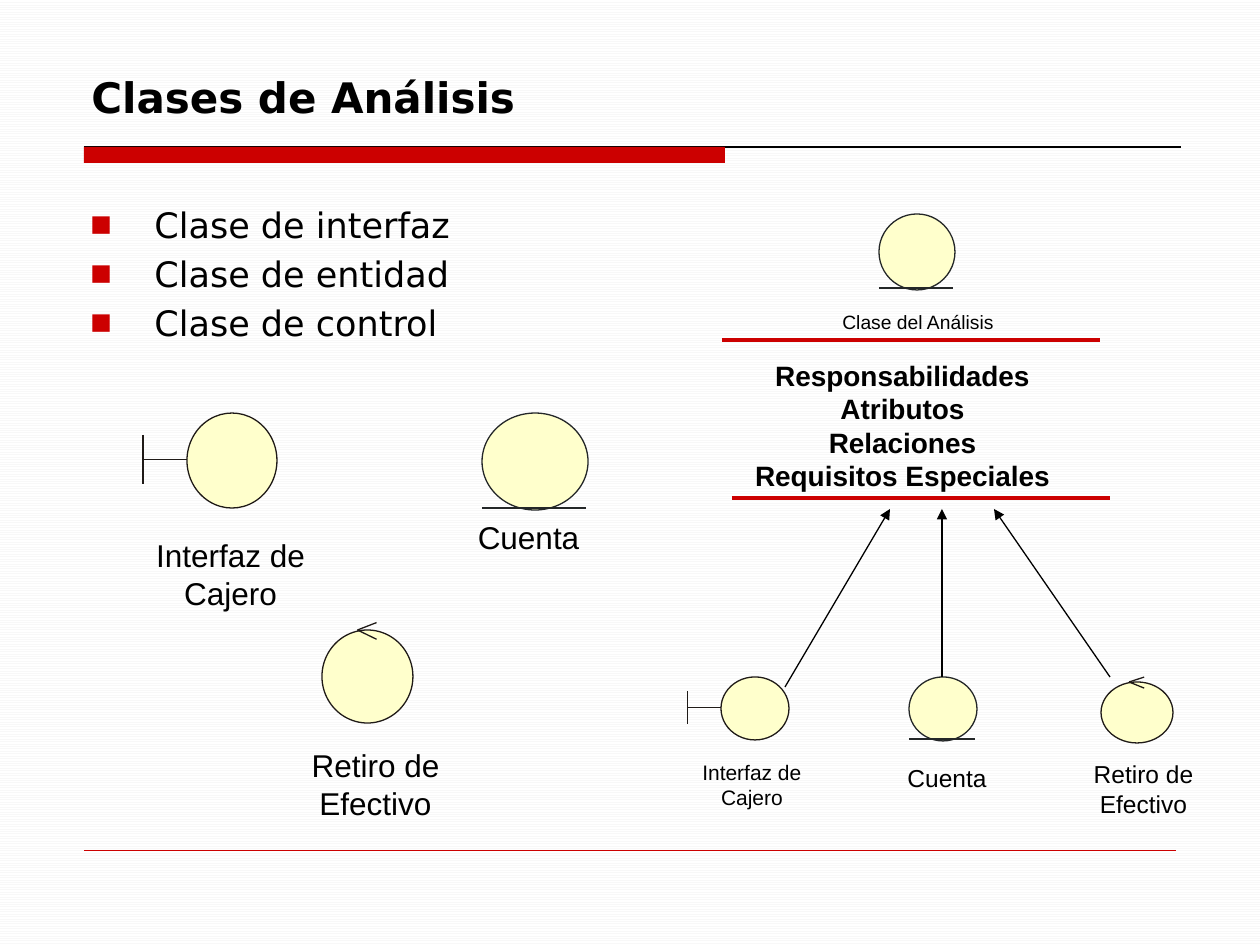
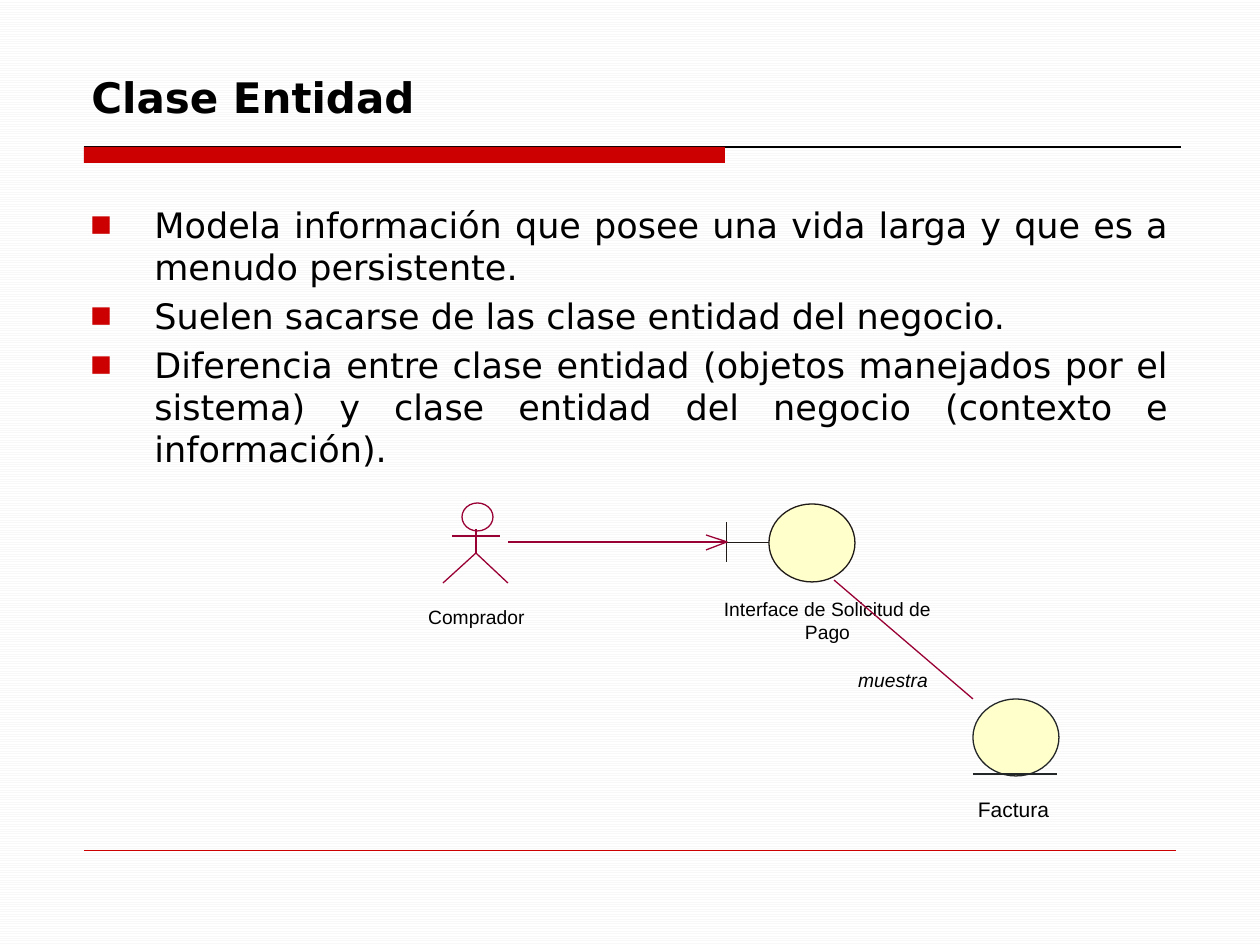
from lxml import etree
from pptx import Presentation
from pptx.dml.color import RGBColor
from pptx.enum.dml import MSO_PATTERN
from pptx.enum.shapes import MSO_CONNECTOR, MSO_SHAPE
from pptx.enum.text import MSO_ANCHOR, MSO_AUTO_SIZE, PP_ALIGN
from pptx.oxml.ns import qn
from pptx.util import Emu, Pt

STRAIGHT = MSO_CONNECTOR.STRAIGHT
OVAL, RECT = MSO_SHAPE.OVAL, MSO_SHAPE.RECTANGLE
LIGHT_HORIZONTAL = MSO_PATTERN.LIGHT_HORIZONTAL
TOP, BOTTOM = MSO_ANCHOR.TOP, MSO_ANCHOR.BOTTOM
FIT_SHAPE = MSO_AUTO_SIZE.SHAPE_TO_FIT_TEXT
LEFT, CENTER, JUSTIFY = PP_ALIGN.LEFT, PP_ALIGN.CENTER, PP_ALIGN.JUSTIFY

PX = 914400 / 126
BLACK = RGBColor(0x00, 0x00, 0x00)
WHITE = RGBColor(0xFF, 0xFF, 0xFF)
STRIPE = RGBColor(0xF8, 0xF8, 0xF8)
RED = RGBColor(0xCC, 0x00, 0x00)
WINE = RGBColor(0x99, 0x00, 0x33)
CREAM = RGBColor(0xFF, 0xFF, 0xCC)
INK = RGBColor(0x1F, 0x1A, 0x17)
SLATE = RGBColor(0x24, 0x27, 0x28)
HEAD_FONT, LABEL_FONT = "DejaVu Sans", "Arial"

# Content: symbols are (kind, x, y, w, h) of the circle,
# labels are (text, x, y, w, h, size, style), lines are (x1, y1, x2, y2)
SLIDES = [
    {
        "title": "Clases de Análisis",
        "bullets": ["Clase de interfaz", "Clase de entidad", "Clase de control"],
        "symbols": [
            ("entity", 482, 413, 106, 97),
            ("boundary", 187, 413, 90, 95),
            ("control", 322, 630, 91, 93),
            ("entity", 879, 214, 76, 76),
            ("boundary", 721, 677, 68, 63),
            ("entity", 909, 677, 68, 64),
            ("control", 1101, 682, 72, 61),
        ],
        "labels": [
            ("Cuenta", 451, 512, 155, 50, 18, ""),
            ("Interfaz de Cajero", 105, 530, 251, 38, 18, ""),
            ("Retiro de Efectivo", 251, 740, 249, 38, 18, ""),
            ("Clase del Análisis", 809, 304, 218, 37, 11, ""),
            ("Interfaz de Cajero", 669, 753, 166, 25, 12, ""),
            ("Cuenta", 888, 757, 118, 43, 14, ""),
            ("Retiro de Efectivo", 1047, 753, 193, 29, 14, ""),
            ("Responsabilidades\nAtributos\nRelaciones\nRequisitos Especiales",
             742, 352, 321, 147, 16, "bold"),
        ],
        "rules": [(722, 340, 1100, 340), (732, 498, 1110, 498)],
        "arrows": [(785, 687, 890, 509), (942, 677, 942, 509), (1110, 677, 994, 509)],
    },
    {
        "title": "Clase Entidad",
        "bullets": [
            "Modela información que posee una vida larga y que es a menudo persistente.",
            "Suelen sacarse de las clase entidad del negocio.",
            "Diferencia entre clase entidad (objetos manejados por el sistema) "
            "y clase entidad del negocio (contexto e información).",
        ],
        "symbols": [
            ("actor", 462, 503, 31, 28),
            ("boundary", 769, 504, 86, 78),
            ("entity", 973, 699, 86, 77),
        ],
        "labels": [
            ("Comprador", 412, 599, 129, 37, 11, ""),
            ("Interface de Solicitud de Pago", 699, 591, 257, 23, 11, ""),
            ("Factura", 960, 790, 107, 38, 12, ""),
            ("muestra", 838, 662, 110, 37, 11, "italic"),
        ],
        "links": [(508, 542, 727, 542), (834, 580, 973, 699)],
        "open_heads": [[(706, 535), (727, 542), (706, 550)]],
    },
]


def px(*values):
    return [Emu(round(v * PX)) for v in values]


def add_line(s, x1, y1, x2, y2, color, width=0.75, arrow=False):
    c = s.shapes.add_connector(STRAIGHT, *px(x1, y1, x2, y2))
    c.line.color.rgb = color
    c.line.width = Pt(width)
    if arrow:
        etree.SubElement(c.line._get_or_add_ln(), qn("a:tailEnd"), type="triangle")
    etree.SubElement(c._element.spPr, qn("a:effectLst"))


def add_polyline(s, points, color):
    builder = s.shapes.build_freeform(*points[0], scale=PX)
    builder.add_line_segments(points[1:], close=False)
    sp = builder.convert_to_shape()
    sp.shadow.inherit = False
    sp.fill.background()
    sp.line.color.rgb = color
    sp.line.width = Pt(0.75)


def add_circle(s, x, y, w, h, color, fill=CREAM):
    sp = s.shapes.add_shape(OVAL, *px(x, y, w, h))
    sp.shadow.inherit = False
    if fill is None:
        sp.fill.background()
    else:
        sp.fill.solid()
        sp.fill.fore_color.rgb = fill
    sp.line.color.rgb = color
    sp.line.width = Pt(0.75)


def add_text(s, text, x, y, w, h, size, style="", font=LABEL_FONT,
             align=CENTER, anchor=TOP):
    sp = s.shapes.add_textbox(*px(x, y, w, h))
    tf = sp.text_frame
    tf.word_wrap = True
    tf.vertical_anchor = anchor
    tf.text = text
    for p in tf.paragraphs:
        p.alignment = align
        for r in p.runs:
            r.font.name = font
            r.font.size = Pt(size)
            r.font.color.rgb = BLACK
            r.font.bold = style == "bold"
            r.font.italic = style == "italic"
    return tf


# Class symbols, each measured from its circle
def draw_entity(s, x, y, w, h):
    add_circle(s, x, y, w, h, SLATE)
    add_line(s, x, y + h - 2, x + w - 2, y + h - 2, SLATE)


def draw_boundary(s, x, y, w, h):
    bar, stem = x - 0.49 * w, y + 0.49 * h
    add_circle(s, x, y, w, h, INK)
    add_line(s, bar, y + 0.23 * h, bar, y + 0.75 * h, INK)
    add_line(s, bar, stem, x, stem, INK)


def draw_control(s, x, y, w, h):
    add_circle(s, x, y, w, h, INK)
    for dy in (-0.08, 0.1):
        add_line(s, x + 0.6 * w, y + dy * h, x + 0.39 * w, y, INK)


def draw_actor(s, x, y, w, h):
    mid, neck, hip = x + w // 2 - 1, y + h - 2, y + h + 22
    add_circle(s, x, y, w, h, WINE, fill=None)
    add_line(s, mid, neck, mid, hip, WINE)
    add_line(s, mid - 24, neck + 7, mid + 24, neck + 7, WINE)
    add_polyline(s, [(mid - 33, hip + 30), (mid, hip), (mid + 32, hip + 30)], WINE)


DRAW = {"entity": draw_entity, "boundary": draw_boundary,
        "control": draw_control, "actor": draw_actor}


def add_base(prs, title):
    s = prs.slides.add_slide(prs.slide_layouts[6])
    fill = s.background.fill
    fill.patterned()
    fill.pattern = LIGHT_HORIZONTAL
    fill.fore_color.rgb = STRIPE
    fill.back_color.rgb = WHITE
    # Title band and footer line
    add_line(s, 84, 147, 1181, 147, BLACK)
    band = s.shapes.add_shape(RECT, *px(84, 147, 641, 16))
    band.shadow.inherit = False
    band.fill.solid()
    band.fill.fore_color.rgb = RED
    band.line.fill.background()
    add_line(s, 84, 850, 1176, 850, RED, 0.25)
    add_text(s, title, 79, 20, 1103, 108, 24, "bold", HEAD_FONT, LEFT, BOTTOM)
    return s


def add_bullets(s, items):
    tf = add_text(s, "\n".join(items), 78, 197, 1103, 640, 20,
                  font=HEAD_FONT, align=JUSTIFY)
    indent = px(64)[0]
    for p in tf.paragraphs:
        p.space_after = Pt(4)
        pPr = p._p.get_or_add_pPr()
        pPr.set("marL", str(indent))
        pPr.set("indent", str(-indent))
        color = etree.SubElement(pPr, qn("a:buClr"))
        etree.SubElement(color, qn("a:srgbClr"), val=str(RED))
        etree.SubElement(pPr, qn("a:buSzPct"), val="65000")
        etree.SubElement(pPr, qn("a:buFont"), typeface=HEAD_FONT)
        etree.SubElement(pPr, qn("a:buChar"), char="■")


def main():
    prs = Presentation()
    prs.slide_width, prs.slide_height = px(1260, 945)
    for content in SLIDES:
        s = add_base(prs, content["title"])
        add_bullets(s, content["bullets"])
        for kind, *box in content["symbols"]:
            DRAW[kind](s, *box)
        for label in content["labels"]:
            tf = add_text(s, *label)
            tf.auto_size = FIT_SHAPE
        for ends in content.get("rules", []):
            add_line(s, *ends, RED, 2.25)
        for ends in content.get("arrows", []):
            add_line(s, *ends, BLACK, arrow=True)
        for ends in content.get("links", []):
            add_line(s, *ends, WINE)
        for points in content.get("open_heads", []):
            add_polyline(s, points, WINE)
    prs.save("out.pptx")


if __name__ == "__main__":
    main()
